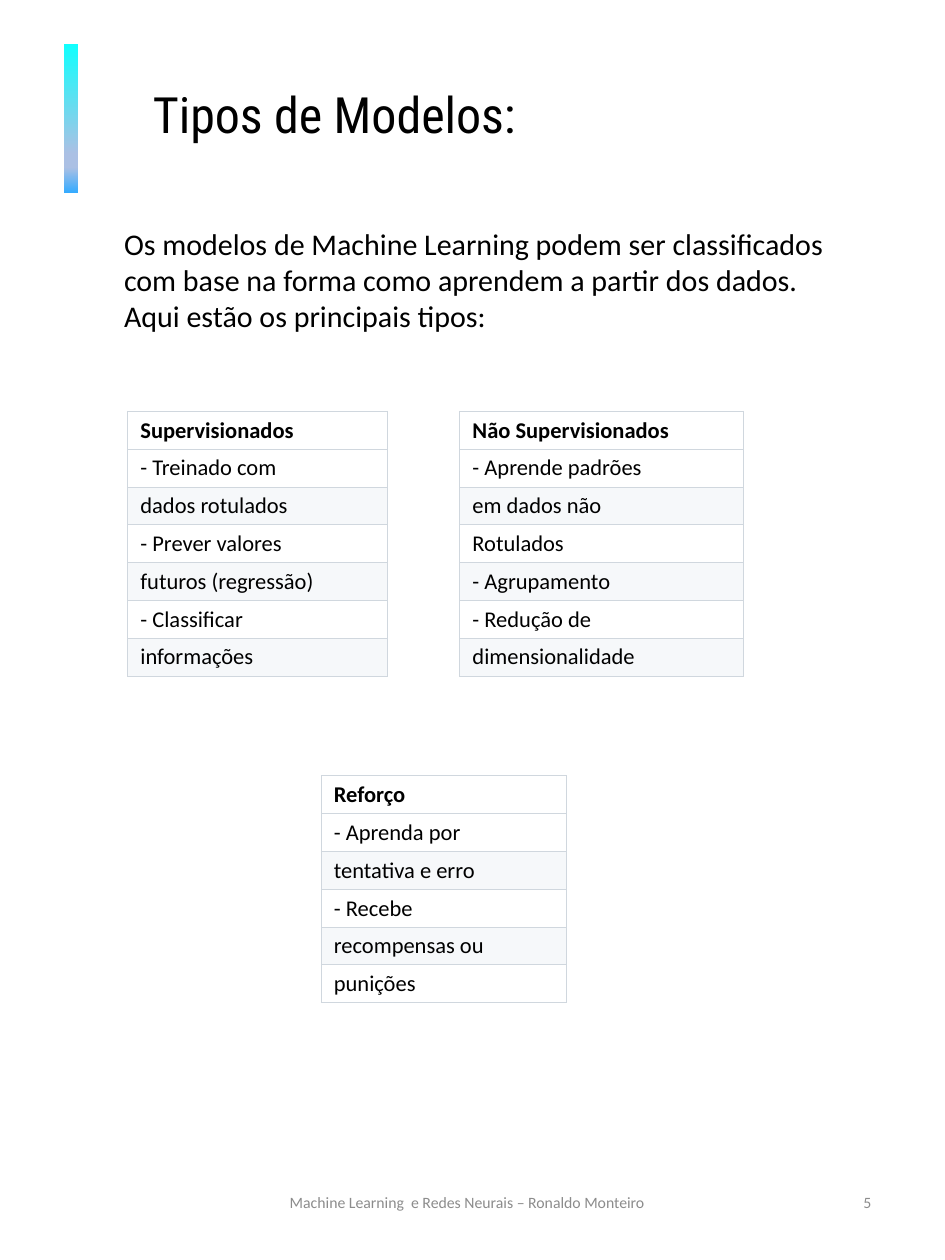
"""Build the slide on the types of machine learning models."""
from pptx import Presentation
from pptx.dml.color import RGBColor
from pptx.enum.shapes import MSO_SHAPE
from pptx.enum.text import MSO_ANCHOR as Anchor, PP_ALIGN as Align
from pptx.oxml.ns import qn
from pptx.util import Inches, Pt
from lxml.etree import SubElement

BLACK = RGBColor(0x00, 0x00, 0x00)
WHITE = RGBColor(0xFF, 0xFF, 0xFF)
GRAY = RGBColor(0x8C, 0x8C, 0x8C)
STRIPE = RGBColor(0xF6, 0xF8, 0xFA)
BORDER = RGBColor(0xD0, 0xD7, 0xDE)
CYAN = RGBColor(0x11, 0xFF, 0xFE)
LAVENDER = RGBColor(0xAB, 0xC0, 0xE4)
BLUE = RGBColor(0x36, 0xAB, 0xFF)

BAR_STOPS = [(0, CYAN), (74, LAVENDER), (83, LAVENDER), (100, BLUE)]
ROW_HEIGHT = 0.42
FOOTER = dict(size=12.6, color=GRAY, anchor=Anchor.MIDDLE)

TEXTS = [
    ("Tipos de Modelos:", (1.6, 0.88, 8.55, 0.77), dict(size=40, font="Roboto Condensed")),
    ("Os modelos de Machine Learning podem ser classificados com base na forma "
     "como aprendem a partir dos dados. Aqui estão os principais tipos:",
     (1.28, 2.46, 8.23, 1.31), dict(size=24)),
    ("Machine Learning  e Redes Neurais – Ronaldo Monteiro",
     (1.81, 12.98, 6.76, 0.75), dict(align=Align.CENTER, **FOOTER)),
    ("5", (7.42, 12.98, 2.36, 0.75), dict(align=Align.RIGHT, **FOOTER)),
]

MODELS = [
    ((1.42, 4.57, 2.89), ["Supervisionados", "- Treinado com", "dados rotulados",
                          "- Prever valores", "futuros (regressão)",
                          "- Classificar", "informações"]),
    ((5.11, 4.57, 3.15), ["Não Supervisionados", "- Aprende padrões", "em dados não",
                          "Rotulados", "- Agrupamento", "- Redução de",
                          "dimensionalidade"]),
    ((3.57, 8.62, 2.72), ["Reforço", "- Aprenda por", "tentativa e erro",
                          "- Recebe", "recompensas ou", "punições"]),
]


def write_text(frame, text, size=18, font="Calibri", color=BLACK, bold=False,
               align=Align.LEFT, anchor=Anchor.TOP):
    frame.word_wrap = True
    frame.vertical_anchor = anchor
    paragraph = frame.paragraphs[0]
    paragraph.alignment = align
    run = paragraph.add_run()
    run.text = text
    run.font.size = Pt(size)
    run.font.name = font
    run.font.bold = bold
    run.font.color.rgb = color


def add_bar(slide):
    bar = slide.shapes.add_shape(MSO_SHAPE.RECTANGLE, Inches(0.71), Inches(0.49),
                                 Inches(0.16), Inches(1.65))
    bar.shadow.inherit = False
    bar.line.fill.background()
    bar.fill.gradient()
    bar.fill.gradient_angle = 270
    stops = bar.element.spPr.find(qn("a:gradFill")).find(qn("a:gsLst"))
    for stop in list(stops):
        stops.remove(stop)
    for position, color in BAR_STOPS:
        stop = SubElement(stops, qn("a:gs"), pos=str(position * 1000))
        SubElement(stop, qn("a:srgbClr"), val=str(color))


def add_borders(cell):
    properties = cell._tc.get_or_add_tcPr()
    for side in ("lnL", "lnR", "lnT", "lnB"):
        line = SubElement(properties, qn(f"a:{side}"), w=str(Pt(0.75)))
        fill = SubElement(line, qn("a:solidFill"))
        SubElement(fill, qn("a:srgbClr"), val=str(BORDER))


def add_model_table(slide, place, rows):
    left, top, width = map(Inches, place)
    table = slide.shapes.add_table(len(rows), 1, left, top, width,
                                   Inches(ROW_HEIGHT * len(rows))).table
    for index, text in enumerate(rows):
        cell = table.cell(index, 0)
        cell.margin_left = cell.margin_right = Inches(0.14)
        cell.margin_top = cell.margin_bottom = Inches(0.06)
        cell.vertical_anchor = Anchor.MIDDLE
        add_borders(cell)
        cell.fill.solid()
        cell.fill.fore_color.rgb = STRIPE if index and index % 2 == 0 else WHITE
        write_text(cell.text_frame, text, bold=index == 0, anchor=None)


def main():
    presentation = Presentation()
    presentation.slide_width = Inches(10.5)
    presentation.slide_height = Inches(14)
    slide = presentation.slides.add_slide(presentation.slide_layouts[6])
    add_bar(slide)
    for text, place, style in TEXTS:
        box = slide.shapes.add_textbox(*map(Inches, place))
        write_text(box.text_frame, text, **style)
    for place, rows in MODELS:
        add_model_table(slide, place, rows)
    presentation.save("out.pptx")


if __name__ == "__main__":
    main()
